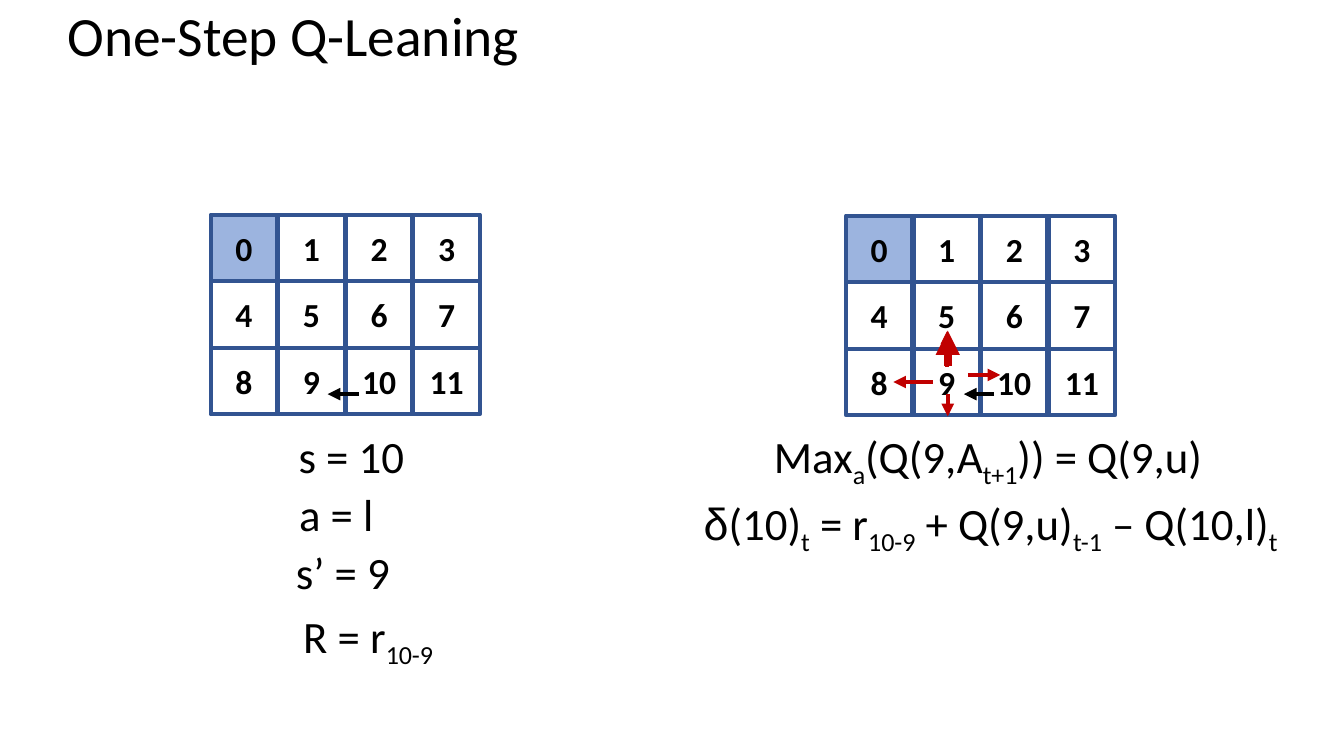
from lxml import etree
from pptx import Presentation
from pptx import util as u
from pptx.dml.color import RGBColor
from pptx.enum import shapes, text
from pptx.oxml.ns import qn

THEME = {
    "font": "Calibri", "greek_font": "Arial",
    "ink": "000000", "border": "325491", "goal": "4472C4", "explore": "C00000",
    "goal_alpha": 53, "title_size": 39.6, "cell_size": 24, "formula_size": 32,
    "line": 3, "best_line": 5.75,
}

TITLE = ["One-Step Q-Leaning"]
ROWS, COLUMNS = 3, 4
CELL, COLUMN_STEP, ROW_STEP = 0.66, 0.67, 0.66
GRID_ORIGINS = [(2.09, 2.13), (8.39, 2.14)]

# Odd entries of each formula are subscripts.
FORMULAS = [
    ((2.09, 4.20, 2.69), "center", [" s = 10"]),
    ((2.07, 4.78, 2.43), "center", [" a = l"]),
    ((2.19, 5.35, 2.32), "center", [" s’ = 9"]),
    ((2.44, 5.99, 2.32), "center", [" R = r", "10-9"]),
    ((7.23, 4.20, 5.14), "center", ["Max", "a", "(Q(9,A", "t+1", ")) = Q(9,u)"]),
    ((6.88, 4.87, 6.08), "left",
     ["δ(10)", "t", " = r", "10-9", " + Q(9,u)", "t-1", " – Q(10,l)", "t"]),
]
FORMULA_HEIGHT = 0.64

ARROWS = [
    ((3.56, 3.91), (3.25, 3.91), "ink", "line"),
    ((9.86, 3.91), (9.56, 3.91), "ink", "line"),
    ((9.39, 3.64), (9.39, 3.29), "explore", "line"),
    ((9.25, 3.79), (8.86, 3.79), "explore", "line"),
    ((9.60, 3.72), (9.92, 3.72), "explore", "line"),
    ((9.40, 3.91), (9.40, 4.13), "explore", "line"),
    ((9.40, 3.63), (9.40, 3.28), "explore", "best_line"),
]

ALIGNMENTS = {"left": text.PP_ALIGN.LEFT, "center": text.PP_ALIGN.CENTER}


def color(name):
    return RGBColor.from_string(THEME[name])


def write(shape, parts, size, align="left", anchor=text.MSO_ANCHOR.TOP,
          bold=False, spacing=None, grow=False):
    frame = shape.text_frame
    frame.word_wrap = True
    frame.vertical_anchor = anchor
    if grow:
        frame.auto_size = text.MSO_AUTO_SIZE.SHAPE_TO_FIT_TEXT
    paragraph = frame.paragraphs[0]
    paragraph.alignment = ALIGNMENTS[align]
    if spacing:
        paragraph.line_spacing = spacing
    for index, part in enumerate(parts):
        pieces = ["δ", part[1:]] if part.startswith("δ") else [part]
        for piece in pieces:
            run = paragraph.add_run()
            run.text = piece
            run.font.name = THEME["greek_font" if piece == "δ" else "font"]
            run.font.size = u.Pt(THEME[size])
            run.font.bold = bold
            run.font.color.rgb = color("ink")
            if index % 2:
                run.font._element.set("baseline", "-25000")


def add_text(slide, box, parts, size, **layout):
    shape = slide.shapes.add_textbox(*map(u.Inches, box))
    write(shape, parts, size, **layout)


def add_cell(slide, left, top, state):
    box = map(u.Inches, (left, top, CELL, CELL))
    cell = slide.shapes.add_shape(shapes.MSO_SHAPE.RECTANGLE, *box)
    cell.shadow.inherit = False
    cell.line.color.rgb = color("border")
    cell.line.width = u.Pt(THEME["line"])
    if state == 0:
        cell.fill.solid()
        cell.fill.fore_color.rgb = color("goal")
        fill = cell._element.spPr.find(qn("a:solidFill"))
        alpha = etree.SubElement(fill[0], qn("a:alpha"))
        alpha.set("val", str(THEME["goal_alpha"] * 1000))
    else:
        cell.fill.background()
    write(cell, [str(state)], "cell_size", align="center",
          anchor=text.MSO_ANCHOR.MIDDLE, bold=True)


def add_grid(slide, left, top):
    for state in range(ROWS * COLUMNS):
        row, column = divmod(state, COLUMNS)
        add_cell(slide, left + column * COLUMN_STEP, top + row * ROW_STEP, state)


def add_arrow(slide, start, end, ink, width):
    points = map(u.Inches, start + end)
    arrow = slide.shapes.add_connector(shapes.MSO_CONNECTOR.STRAIGHT, *points)
    arrow.line.color.rgb = color(ink)
    arrow.line.width = u.Pt(THEME[width])
    etree.SubElement(arrow.line._get_or_add_ln(), qn("a:tailEnd")).set("type", "triangle")
    etree.SubElement(arrow._element.spPr, qn("a:effectLst"))


def main():
    presentation = Presentation()
    presentation.slide_width = u.Inches(13.33)
    presentation.slide_height = u.Inches(7.5)
    slide = presentation.slides.add_slide(presentation.slide_layouts[6])
    add_text(slide, (0.57, 0.08, 12.01, 0.6), TITLE, "title_size",
             anchor=text.MSO_ANCHOR.MIDDLE, spacing=0.9)
    for left, top in GRID_ORIGINS:
        add_grid(slide, left, top)
    for box, align, parts in FORMULAS:
        add_text(slide, box + (FORMULA_HEIGHT,), parts, "formula_size",
                 align=align, grow=True)
    for arrow in ARROWS:
        add_arrow(slide, *arrow)
    presentation.save("out.pptx")


if __name__ == "__main__":
    main()
